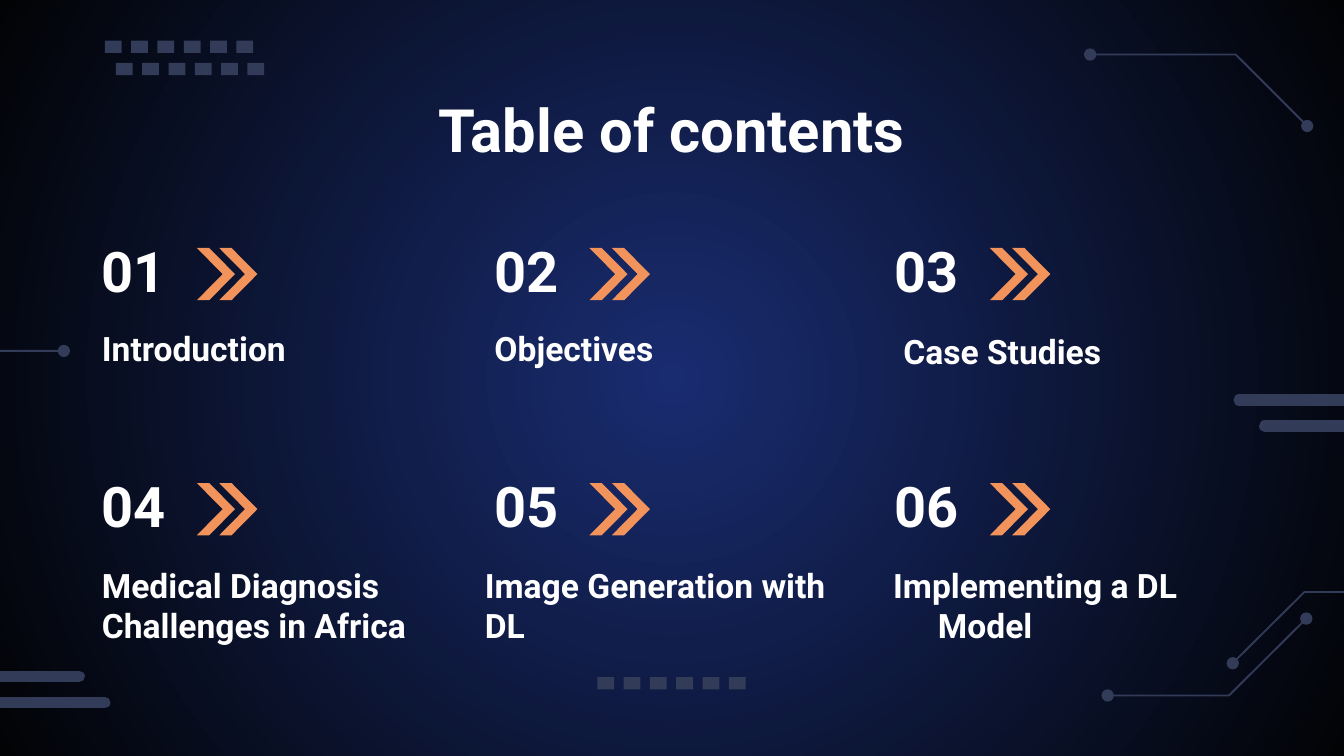
from dataclasses import dataclass

from lxml.etree import SubElement
from pptx import Presentation
from pptx.dml.color import RGBColor as RGB
from pptx.enum.shapes import MSO_CONNECTOR as CONNECTOR, MSO_SHAPE as SHAPE
from pptx.enum.text import MSO_ANCHOR as ANCHOR, PP_ALIGN as ALIGN
from pptx.oxml.ns import qn
from pptx.util import Pt


@dataclass(frozen=True)
class Theme:
    font: str = "Roboto"
    text: RGB = RGB(0xFF, 0xFF, 0xFF)
    circuit: RGB = RGB(0x32, 0x3B, 0x58)
    accent: RGB = RGB(0xF2, 0x93, 0x5B)
    centre: RGB = RGB(0x19, 0x2C, 0x70)
    edge: RGB = RGB(0x02, 0x03, 0x05)
    title: int = 32
    number: int = 30
    topic: int = 18


theme = Theme()
prs = Presentation()
prs.slide_width, prs.slide_height = Pt(720), Pt(405)
s = prs.slides.add_slide(prs.slide_layouts[6])


def add_text(text, *, x, y, w, h, size, align=ALIGN.LEFT, anchor=ANCHOR.TOP,
             left=0, indent=0):
    tf = s.shapes.add_textbox(Pt(x), Pt(y), Pt(w), Pt(h)).text_frame
    tf.word_wrap = True
    tf.vertical_anchor = anchor
    tf.margin_left = tf.margin_right = tf.margin_top = tf.margin_bottom = Pt(7.2)
    p = tf.paragraphs[0]
    p.alignment = align
    if left:
        pPr = p._p.get_or_add_pPr()
        pPr.set("marL", str(Pt(left)))
        pPr.set("indent", str(Pt(indent)))
    r = p.add_run()
    r.text = text
    r.font.name, r.font.size, r.font.bold = theme.font, Pt(size), True
    r.font.color.rgb = theme.text


def add_outline(points, close):
    pts = [(Pt(x), Pt(y)) for x, y in points]
    builder = s.shapes.build_freeform(*pts[0])
    builder.add_line_segments(pts[1:], close=close)
    sp = builder.convert_to_shape()
    sp.shadow.inherit = False
    return sp


# Background: radial gradient
fill = s.background.fill
fill.gradient()
for stop, color in zip(fill.gradient_stops, (theme.centre, theme.edge)):
    stop.color.rgb = color
grad = s._element.xpath(".//a:gradFill")[0]
grad.remove(grad.find(qn("a:lin")))
radial = SubElement(grad, qn("a:path"), path="circle")
SubElement(radial, qn("a:fillToRect"), l="50000", t="50000", r="50000", b="50000")

# Circuit traces, with a dot on the first ends given
DOT = 6.6
traces = [
    ([(34.2, 188), (-20, 188), (-75.3, 243)], 1),
    ([(584, 29.2), (662, 29.2), (700.3, 67.5)], 2),
    ([(660.4, 355.3), (698.8, 317.2), (777, 317.2)], 1),
    ([(593.4, 372.6), (658.4, 372.6), (699.8, 331.4)], 2),
]
for points, dots in traces:
    trace = add_outline(points, close=False)
    trace.fill.background()
    trace.line.color.rgb = theme.circuit
    trace.line.width = Pt(1)
    for x, y in (points[0], points[-1])[:dots]:
        dot = s.shapes.add_shape(SHAPE.OVAL, Pt(x - DOT / 2), Pt(y - DOT / 2),
                                 Pt(DOT), Pt(DOT))
        dot.shadow.inherit = False
        dot.fill.solid()
        dot.fill.fore_color.rgb = theme.circuit
        dot.line.fill.background()

# Rows of six dashes
for x, y in ((56.2, 21.8), (62.1, 33.7), (320, 362.7)):
    for i in range(6):
        dash = s.shapes.add_shape(SHAPE.RECTANGLE, Pt(x + 14.1 * i), Pt(y),
                                  Pt(9), Pt(6.6))
        dash.shadow.inherit = False
        dash.fill.solid()
        dash.fill.fore_color.rgb = theme.circuit
        dash.line.fill.background()

# Thick round-ended bars running off both sides
for x, y in ((663.8, 214.3), (677.5, 228.3), (-82.1, 362.4), (-68.4, 376.4)):
    bar = s.shapes.add_connector(CONNECTOR.STRAIGHT, Pt(x), Pt(y),
                                 Pt(x + 124.6), Pt(y))
    bar.line.color.rgb = theme.circuit
    bar.line.width = Pt(6)
    bar.line._get_or_add_ln().set("cap", "rnd")
    SubElement(bar._element.spPr, qn("a:effectLst"))

# Title
add_text("Table of contents", x=72, y=42.5, w=576, h=45.4, size=theme.title,
         align=ALIGN.CENTER)

# Numbers, each with a double chevron
CHEVRON = [(0, 0), (6.6, 0), (20.4, 14), (6.6, 28), (0, 28), (13.8, 14)]
COLS = (47.5, 257.8, 472.3)
ROWS = (124.6, 250.5)
for row, y in enumerate(ROWS):
    for col, x in enumerate(COLS):
        add_text(f"{row * 3 + col + 1:02}", x=x, y=y, w=57.6, h=45.4,
                 size=theme.number, anchor=ANCHOR.BOTTOM)
        for shift in (58, 70):
            chevron = add_outline([(x + shift + dx, y + 8.3 + dy)
                                   for dx, dy in CHEVRON], close=True)
            chevron.fill.solid()
            chevron.fill.fore_color.rgb = theme.accent
            chevron.line.fill.background()

# Topics: text, x, y, width, height, left margin, first-line indent
topics = [
    ("Introduction", COLS[0], 168.5, 171.4, 59, 0, 0),
    ("Objectives", COLS[1], 168.5, 171.4, 59, 0, 0),
    ("Case Studies", COLS[2], 169.9, 193.7, 59, 4.5, 0),
    ("Medical Diagnosis Challenges in Africa", COLS[0], 295.2, 212.4, 59, 0, 0),
    ("Image Generation with DL", 252.7, 295.2, 206.6, 59, 0, 0),
    ("Implementing a DL Model", 459.4, 295.2, 222.5, 49, 36, -24),
]
for text, x, y, w, h, left, indent in topics:
    add_text(text, x=x, y=y, w=w, h=h, size=theme.topic, left=left, indent=indent)

prs.save("out.pptx")
